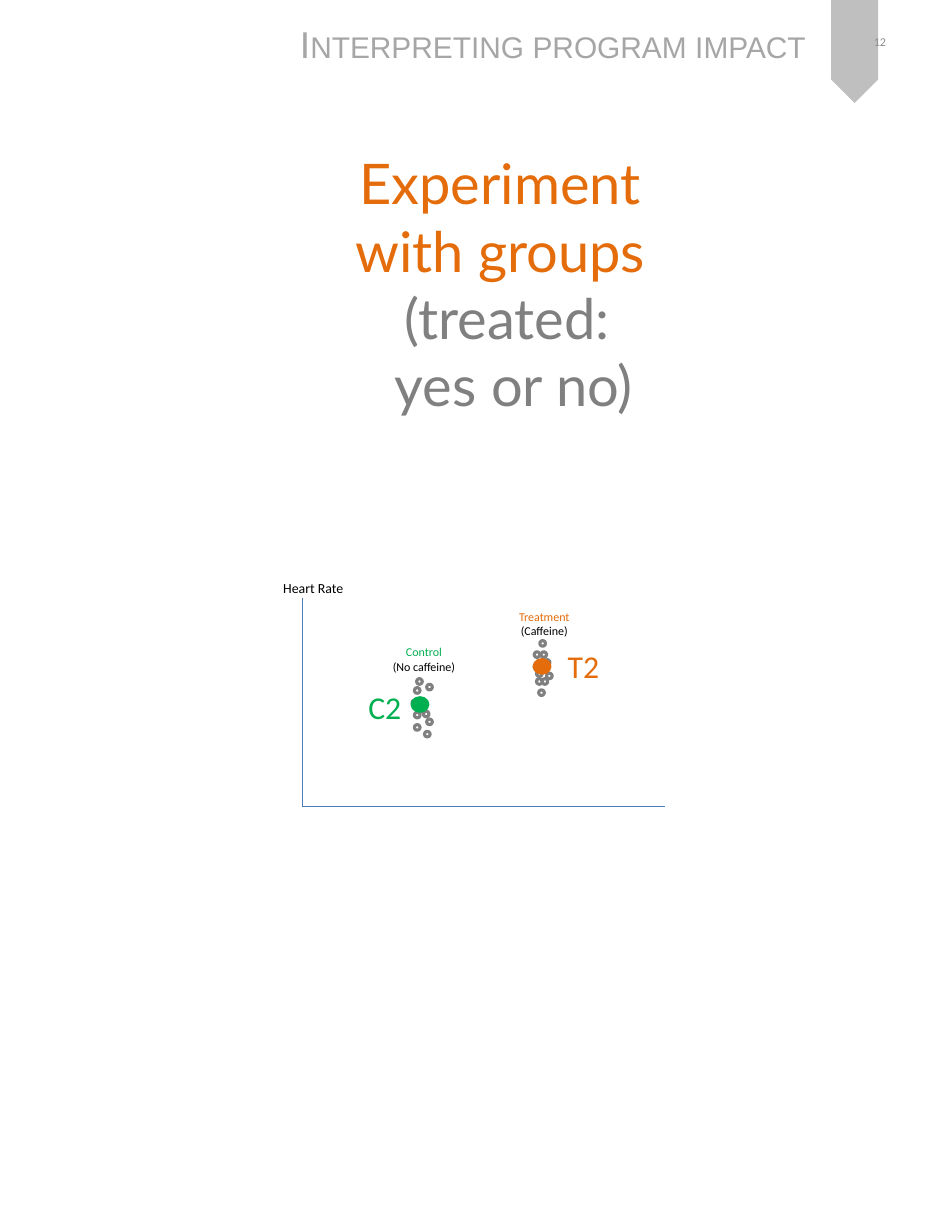
from copy import deepcopy

from lxml.etree import SubElement
from pptx import Presentation
from pptx.dml.color import RGBColor
from pptx.enum.shapes import MSO_CONNECTOR, MSO_SHAPE
from pptx.enum.text import MSO_ANCHOR, MSO_AUTO_SIZE, PP_ALIGN
from pptx.oxml.ns import qn
from pptx.util import Inches, Pt

ORANGE = RGBColor(0xE4, 0x6C, 0x0A)
GREEN = RGBColor(0x00, 0xB0, 0x50)
BLUE = RGBColor(0x4B, 0x7E, 0xBC)
GRAY = RGBColor(0x80, 0x80, 0x80)
RIBBON_GRAY = RGBColor(0xBF, 0xBF, 0xBF)
HEADER_GRAY = RGBColor(0xA6, 0xA6, 0xA6)
NUMBER_GRAY = RGBColor(0x8C, 0x8C, 0x8C)
BLACK = RGBColor(0x00, 0x00, 0x00)

AXIS_LEFT, AXIS_TOP, AXIS_RIGHT, AXIS_BOTTOM = 2.7, 5.34, 5.94, 7.2
DOT_SIZE = 0.05
CONTROL_DOTS = [
    (3.68, 6.25), (3.76, 6.25), (3.75, 6.31), (3.7, 6.36), (3.81, 6.42), (3.7, 6.47),
    (3.79, 6.53), (3.81, 6.11), (3.72, 6.06), (3.7, 6.14), (3.78, 6.35),
]
TREATMENT_DOTS = [
    (4.77, 5.93), (4.77, 5.82), (4.86, 5.89), (4.88, 6.01), (4.79, 6.06), (4.84, 6.06),
    (4.81, 6.16), (4.82, 5.72), (4.83, 5.82), (4.79, 5.99),
]


def add_text(slide, box, paragraphs, size, font="Calibri", align=PP_ALIGN.LEFT, small_caps=False, **frame_format):
    """Add a text box; each paragraph is a list of (line, colour) pairs."""
    frame = slide.shapes.add_textbox(*map(Inches, box)).text_frame
    settings = {"word_wrap": False, "auto_size": MSO_AUTO_SIZE.SHAPE_TO_FIT_TEXT, **frame_format}
    for name, value in settings.items():
        setattr(frame, name, value)
    for index, lines in enumerate(paragraphs):
        paragraph = frame.add_paragraph() if index else frame.paragraphs[0]
        paragraph.alignment = align
        for position, (line, color) in enumerate(lines):
            if position:
                paragraph.add_line_break()
                line_break = paragraph._p.findall(qn("a:br"))[-1]
                line_break.append(deepcopy(run.font._element))
            run = paragraph.add_run()
            run.text = line
            for name, value in {"size": Pt(size), "name": font}.items():
                setattr(run.font, name, value)
            run.font.color.rgb = color
            if small_caps:
                run.font._element.set("cap", "small")


def add_ellipse(slide, box, color, filled=False):
    """Add an outlined ellipse, filled in the same colour on request."""
    ellipse = slide.shapes.add_shape(MSO_SHAPE.OVAL, *map(Inches, box))
    ellipse.shadow.inherit = False
    ellipse.line.color.rgb = color
    ellipse.line.width = Pt(2)
    if filled:
        ellipse.fill.solid()
        ellipse.fill.fore_color.rgb = color
    else:
        ellipse.fill.background()


def add_axis(slide, end_x, end_y):
    """Draw an axis line from the chart's corner."""
    ends = map(Inches, (AXIS_LEFT, AXIS_BOTTOM, end_x, end_y))
    axis = slide.shapes.add_connector(MSO_CONNECTOR.STRAIGHT, *ends)
    axis.line.color.rgb = BLUE
    axis.line.width = Pt(0.75)
    SubElement(axis._element.spPr, qn("a:effectLst"))


def add_ribbon(slide):
    """Add the downward page ribbon at the top right."""
    ribbon = slide.shapes.add_shape(MSO_SHAPE.PENTAGON, *map(Inches, (7.17, 0.25, 0.92, 0.42)))
    ribbon.rotation = 90
    ribbon.shadow.inherit = False
    ribbon.fill.solid()
    ribbon.fill.fore_color.rgb = RIBBON_GRAY
    ribbon.line.fill.background()


def add_group(slide, label_box, label, note, mean_at, mean_box, mean_name, color):
    """Add one group's caption, mean marker and mean name."""
    add_text(slide, label_box, [[(label, color), (note, BLACK)]], 7.7, align=PP_ALIGN.CENTER)
    add_ellipse(slide, (*mean_at, 0.14, 0.12), color, filled=True)
    add_text(slide, mean_box, [[(mean_name, color)]], 20.4)


def main():
    """Build and save the slide."""
    deck = Presentation()
    deck.slide_width, deck.slide_height = Inches(8.5), Inches(11)
    slide = deck.slides.add_slide(deck.slide_layouts[6])

    add_ribbon(slide)
    add_text(slide, (2.58, 0.14, 4.96, 0.5), [[("Interpreting program impact", HEADER_GRAY)]],
             24, "Arial", small_caps=True)
    add_text(slide, (7.26, 0.08, 0.75, 0.59), [[("12", NUMBER_GRAY)]], 7.7, align=PP_ALIGN.RIGHT,
             word_wrap=True, auto_size=MSO_AUTO_SIZE.NONE, vertical_anchor=MSO_ANCHOR.MIDDLE)

    add_axis(slide, AXIS_RIGHT, AXIS_BOTTOM)
    for left, top in CONTROL_DOTS + TREATMENT_DOTS:
        add_ellipse(slide, (left, top, DOT_SIZE, DOT_SIZE), GRAY)
    add_axis(slide, AXIS_LEFT, AXIS_TOP)
    add_text(slide, (2.43, 5.13, 0.75, 0.25), [[("Heart Rate", BLACK)]], 8.9)

    add_group(slide, (4.53, 5.39, 0.66, 0.36), "Treatment", "(Caffeine)",
              (4.77, 5.89), (4.97, 5.73, 0.49, 0.44), "T2", ORANGE)
    add_group(slide, (3.4, 5.71, 0.77, 0.36), "Control", "(No caffeine)",
              (3.68, 6.23), (3.19, 6.09, 0.5, 0.44), "C2", GREEN)

    title = [
        [("Experiment ", ORANGE), ("with groups ", ORANGE)],
        [("(treated:", GRAY)],
        [(" yes or no)", GRAY)],
    ]
    add_text(slide, (1.15, 1.28, 6.76, 2.52), title, 36, "Lato", PP_ALIGN.CENTER, word_wrap=True)
    deck.save("out.pptx")


if __name__ == "__main__":
    main()
